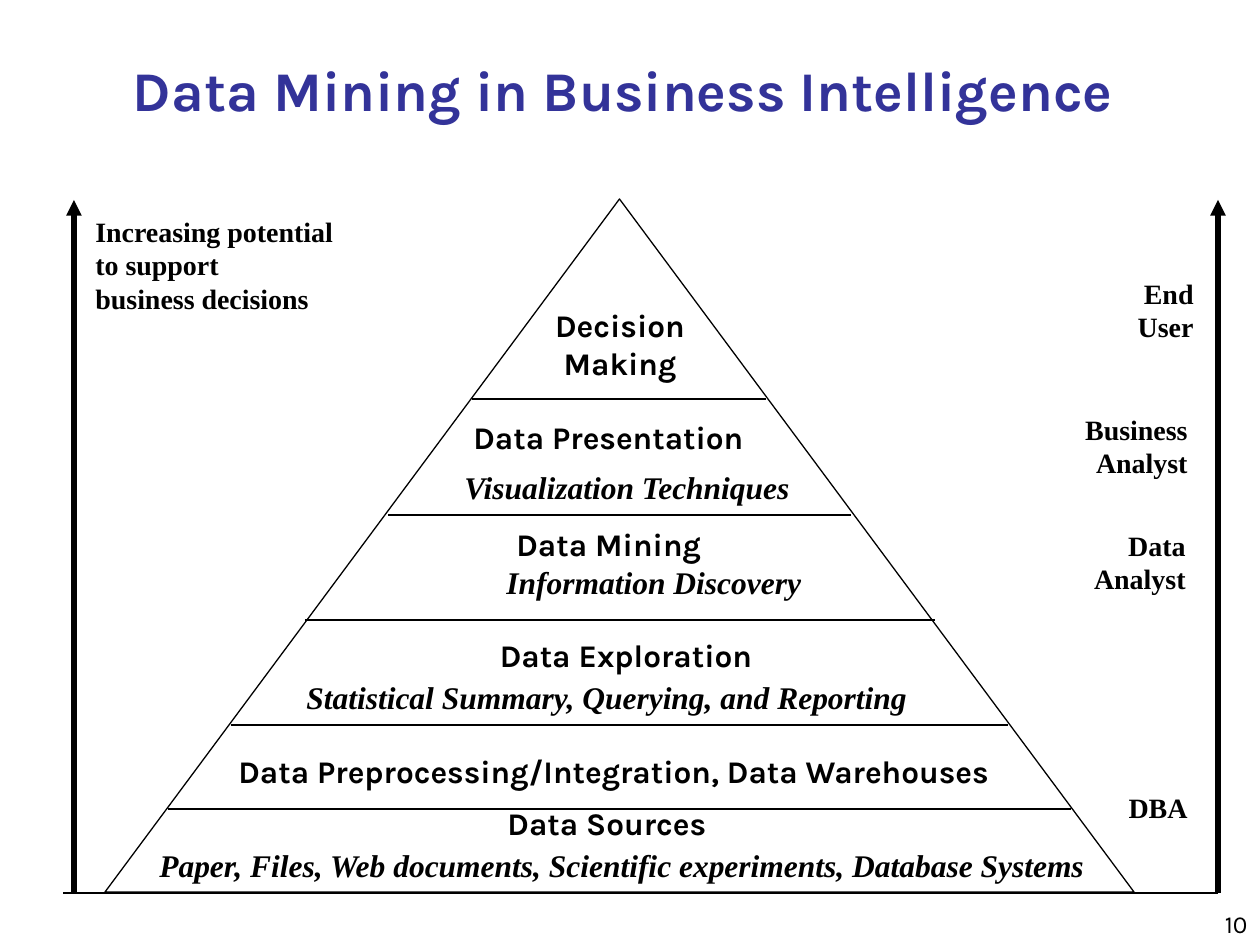
from lxml.etree import SubElement
from pptx import Presentation
from pptx.dml.color import RGBColor
from pptx.enum.shapes import MSO_CONNECTOR, MSO_SHAPE
from pptx.enum.text import MSO_ANCHOR, PP_ALIGN
from pptx.oxml.ns import qn
from pptx.util import Emu, Inches, Pt

BLACK = RGBColor(0x00, 0x00, 0x00)
TITLE_BLUE = RGBColor(0x33, 0x33, 0x99)
SANS, SERIF = "Karla", "Times New Roman"
LEFT, CENTER, RIGHT = PP_ALIGN.LEFT, PP_ALIGN.CENTER, PP_ALIGN.RIGHT
PX = 914400 / 126

prs = Presentation()
prs.slide_width, prs.slide_height = Inches(10), Inches(7.5)
s = prs.slides.add_slide(prs.slide_layouts[6])


def add_text(box, lines, size, font=SANS, align=LEFT, wrap=False, bold=True,
             italic=False, color=BLACK, anchor=MSO_ANCHOR.TOP):
    tf = s.shapes.add_textbox(*(Emu(round(v * PX)) for v in box)).text_frame
    tf.word_wrap = wrap
    tf.vertical_anchor = anchor
    for i, line in enumerate(lines):
        p = tf.paragraphs[0] if i == 0 else tf.add_paragraph()
        p.text = line
        p.alignment = align
        p.font.name, p.font.size = font, Pt(size)
        p.font.bold, p.font.italic = bold, italic
        p.font.color.rgb = color


def add_line(x1, y1, x2, y2, width=0.75, arrow=False):
    c = s.shapes.add_connector(MSO_CONNECTOR.STRAIGHT,
                               *(Emu(round(v * PX)) for v in (x1, y1, x2, y2)))
    c.line.color.rgb = BLACK
    c.line.width = Pt(width)
    if arrow:
        SubElement(c.line._get_or_add_ln(), qn("a:tailEnd"), type="triangle")
    SubElement(c._element.spPr, qn("a:effectLst"))


# Slide number and title
add_text((998, 882, 262, 63), ["10"], 14, align=RIGHT, wrap=True, bold=False,
         anchor=MSO_ANCHOR.BOTTOM)
add_text((32, 53, 1197, 73), ["Data Mining in Business Intelligence "], 32,
         align=CENTER, wrap=True, color=TITLE_BLUE, anchor=MSO_ANCHOR.MIDDLE)

# Pyramid outline
sp = s.shapes.add_shape(MSO_SHAPE.FLOWCHART_EXTRACT,
                        *(Emu(round(v * PX)) for v in (105, 199, 1029, 693)))
sp.shadow.inherit = False
sp.fill.background()
sp.line.color.rgb = BLACK
sp.line.width = Pt(0.75)

# Level dividers and base line
for x1, x2, y in [(168, 1071, 809), (231, 1008, 725), (305, 935, 620),
                  (388, 851, 515), (472, 766, 399), (63, 1218, 893)]:
    add_line(x1, y, x2, y)

# Upward arrows on both sides
for x in (74, 1218):
    add_line(x, 893, x, 200, width=3, arrow=True)

# Side labels
add_text((83, 208, 263, 115),
         ["Increasing potential", "to support", "business decisions"], 16, SERIF)
for box, lines in [
    ((1069, 270, 137, 47), ["End User"]),
    ((1069, 406, 131, 81), ["Business", "Analyst"]),
    ((1081, 522, 117, 81), ["Data", "Analyst"]),
    ((1116, 784, 84, 47), ["DBA"]),
]:
    add_text(box, lines, 16, SERIF, RIGHT)

# Level names
for box, name, align, wrap in [
    ((536, 300, 168, 88), "Decision Making", CENTER, True),
    ((461, 412, 312, 50), "Data Presentation", LEFT, False),
    ((504, 519, 246, 50), "Data Mining", LEFT, True),
    ((464, 630, 324, 50), "Data Exploration", CENTER, True),
    ((226, 746, 819, 50), "Data Preprocessing/Integration, Data Warehouses",
     LEFT, False),
    ((495, 798, 231, 50), "Data Sources", LEFT, False),
]:
    add_text(box, [name], 18, align=align, wrap=wrap)

# Level details
for box, detail, wrap in [
    ((452, 462, 355, 50), "Visualization Techniques", False),
    ((494, 557, 320, 50), "Information Discovery", False),
    ((294, 672, 630, 50), "Statistical Summary, Querying, and Reporting", True),
    ((147, 840, 982, 50),
     "Paper, Files, Web documents, Scientific experiments, Database Systems",
     True),
]:
    add_text(box, [detail], 18, SERIF, wrap=wrap, italic=True)

prs.save("out.pptx")
